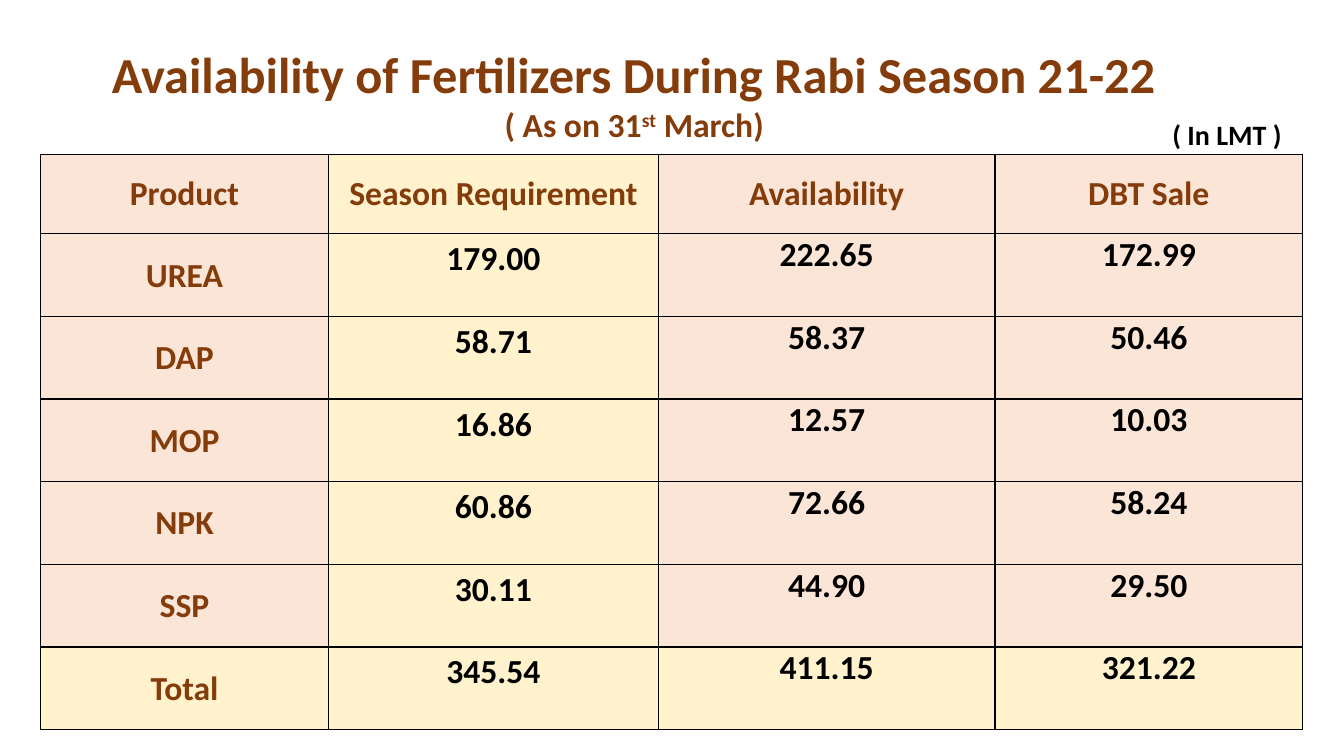
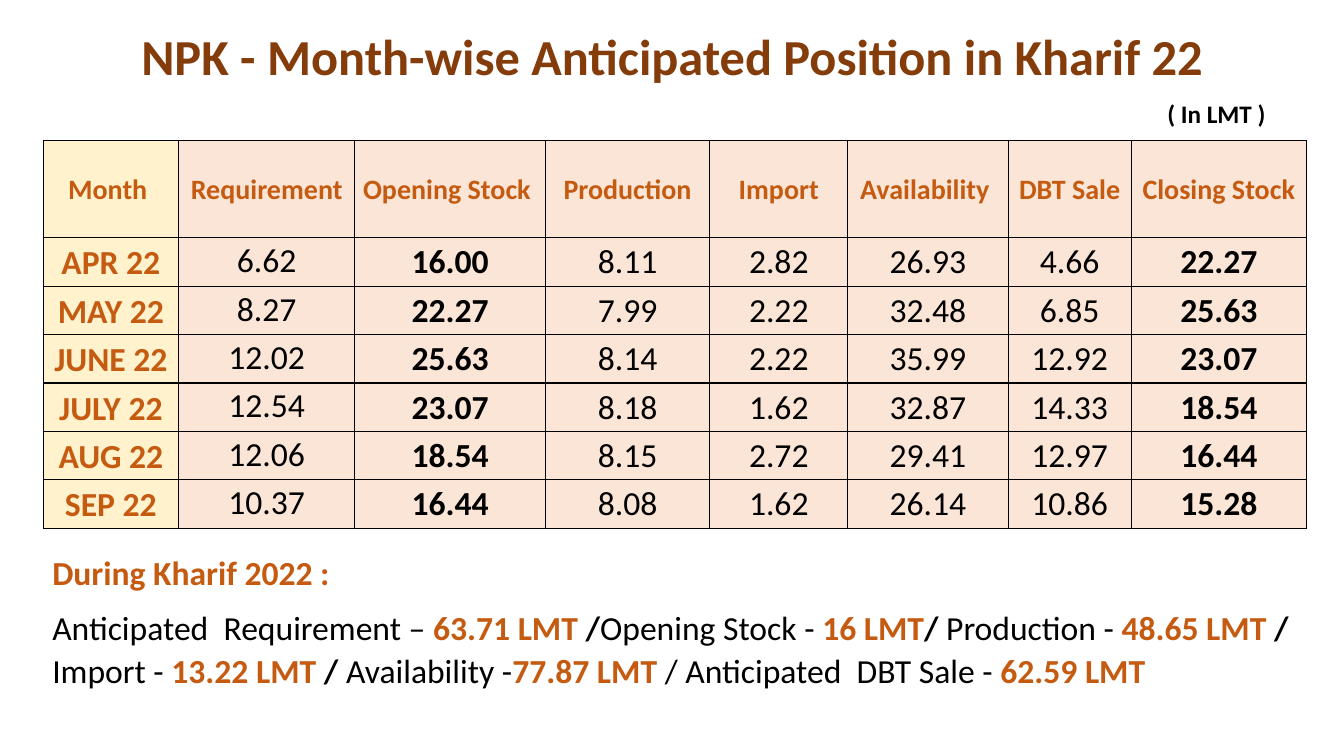
from pptx import Presentation
from pptx.dml.color import RGBColor
from pptx.enum.text import MSO_ANCHOR, MSO_AUTO_SIZE, PP_ALIGN
from pptx.oxml import parse_xml
from pptx.oxml.ns import nsdecls
from pptx.util import Inches, Pt

BROWN = RGBColor(0x84, 0x3C, 0x0B)
ORANGE = RGBColor(0xC5, 0x5A, 0x11)
BLACK = RGBColor(0x00, 0x00, 0x00)
PEACH = RGBColor(0xFB, 0xE5, 0xD6)
CREAM = RGBColor(0xFF, 0xF2, 0xCC)
FONT = "Calibri"
LEFT, CENTER = PP_ALIGN.LEFT, PP_ALIGN.CENTER
TOP, MIDDLE = MSO_ANCHOR.TOP, MSO_ANCHOR.MIDDLE
GROW = MSO_AUTO_SIZE.SHAPE_TO_FIT_TEXT
TITLE_SIZE, BODY_SIZE = 36, 24
LINE_SPACING, SPACE_AFTER = 1.07, Pt(8)


def add_text(page, place, paragraphs, align=LEFT, wrap=True):
    """Each paragraph is a list of (text, size, colour, bold) spans."""
    box = page.shapes.add_textbox(*[Inches(length) for length in place])
    frame = box.text_frame
    frame.word_wrap = wrap
    frame.auto_size = GROW
    for index, spans in enumerate(paragraphs):
        para = frame.paragraphs[0] if index == 0 else frame.add_paragraph()
        para.alignment = align
        for text, size, color, bold in spans:
            span = para.add_run()
            span.text = text
            span.font.name = FONT
            span.font.size = Pt(size)
            span.font.color.rgb = color
            span.font.bold = bold
    return frame


def add_grid(page, left, top, widths, heights, rows):
    """A peach table with thin black borders and centred bold black text."""
    frame = page.shapes.add_table(
        len(rows), len(widths), Inches(left), Inches(top),
        Inches(sum(widths)), Inches(sum(heights)))
    table = frame.table
    table.first_row = table.horz_banding = False
    for column, width in zip(table.columns, widths):
        column.width = Inches(width)
    for row, height, texts in zip(table.rows, heights, rows):
        row.height = Inches(height)
        for cell, text in zip(row.cells, texts):
            properties = cell._tc.get_or_add_tcPr()
            for side in ("lnL", "lnR", "lnT", "lnB"):
                properties.append(parse_xml(
                    f'<a:{side} {nsdecls("a")} w="12700"><a:solidFill>'
                    f'<a:srgbClr val="{BLACK}"/></a:solidFill></a:{side}>'))
            cell.fill.solid()
            cell.fill.fore_color.rgb = PEACH
            cell.vertical_anchor = MIDDLE
            cell.margin_left = cell.margin_right = Inches(0.01)
            cell.margin_top, cell.margin_bottom = Inches(0.01), 0
            cell.text_frame.text = text
            para = cell.text_frame.paragraphs[0]
            para.alignment = CENTER
            font = para.runs[0].font
            font.name = FONT
            font.size = Pt(BODY_SIZE)
            font.bold = True
            font.color.rgb = BLACK
    return table


deck = Presentation()
deck.slide_width, deck.slide_height = Inches(13.33), Inches(7.5)
blank = deck.slide_layouts[6]

# Slide 1: availability by product
page = deck.slides.add_slide(blank)
products = [
    ("Product", "Season Requirement", "Availability", "DBT Sale"),
    ("UREA", "179.00", "222.65", "172.99"),
    ("DAP", "58.71", "58.37", "50.46"),
    ("MOP", "16.86", "12.57", "10.03"),
    ("NPK", "60.86", "72.66", "58.24"),
    ("SSP", "30.11", "44.90", "29.50"),
    ("Total", "345.54", "411.15", "321.22"),
]
table = add_grid(page, 0.4, 1.53, [2.86, 3.27, 3.34, 3.05],
                 [0.79] + [0.82] * 6, products)
last_row = len(products) - 1
for row in range(len(products)):
    for column in range(len(products[0])):
        cell = table.cell(row, column)
        if column == 1 or row == last_row:
            cell.fill.fore_color.rgb = CREAM
        if row == 0 or column == 0:
            cell.text_frame.paragraphs[0].runs[0].font.color.rgb = BROWN
        else:
            cell.vertical_anchor = TOP
            if column == 1:
                cell.margin_left = cell.margin_right = Inches(0.1)
                cell.margin_top = cell.margin_bottom = Inches(0.05)

heading = add_text(page, (0.34, 0.38, 12.14, 1.11), [
    [("Availability of Fertilizers During Rabi Season 21-22", TITLE_SIZE, BROWN, True)],
    [(text, BODY_SIZE, BROWN, True) for text in ("( As on 31", "st", " March)")],
], CENTER)
title, date = heading.paragraphs
title._p.get_or_add_pPr().set("marR", str(Inches(0.24)))
date.runs[1].font._element.set("baseline", "30000")
add_text(page, (11.53, 1.12, 1.3, 0.44),
         [[("( In LMT )", 20, BLACK, True)]], wrap=False)

# Slide 2: monthly position
page = deck.slides.add_slide(blank)
months = [
    ("Month ", "Requirement", "Opening Stock ", "Production", "Import",
     "Availability ", "DBT Sale", "Closing Stock"),
    ("APR 22", "6.62", "16.00", "8.11", "2.82", "26.93", "4.66", "22.27"),
    ("MAY 22", "8.27", "22.27", "7.99", "2.22", "32.48", "6.85", "25.63"),
    ("JUNE 22", "12.02", "25.63", "8.14", "2.22", "35.99", "12.92", "23.07"),
    ("JULY 22", "12.54", "23.07", "8.18", "1.62", "32.87", "14.33", "18.54"),
    ("AUG 22", "12.06", "18.54", "8.15", "2.72", "29.41", "12.97", "16.44"),
    ("SEP 22", "10.37", "16.44", "8.08", "1.62", "26.14", "10.86", "15.28"),
]
stock_columns = (2, 7)
table = add_grid(page, 0.43, 1.39,
                 [1.34, 1.75, 1.89, 1.63, 1.37, 1.59, 1.22, 1.74],
                 [0.97] + [0.48] * 6, months)
for row in range(len(months)):
    for column in range(len(months[0])):
        cell = table.cell(row, column)
        para = cell.text_frame.paragraphs[0]
        font = para.runs[0].font
        if column == 0:
            cell.fill.fore_color.rgb = CREAM
        if row == 0 or column == 0:
            font.color.rgb = ORANGE
        else:
            font.bold = column in stock_columns
        if row == 0:
            font.size = Pt(20)
        if row == 0 or column <= 1:
            para.line_spacing = LINE_SPACING
            para.space_after = SPACE_AFTER
            cell.margin_left = cell.margin_right = Inches(0.06)
            cell.margin_top = 0
        if row > 0 and column == 1:
            cell.vertical_anchor = TOP

# Season summary: plain labels, orange figures, bold slashes
summary = [
    ("Anticipated  Requirement – ", BLACK, False), ("63.71 LMT ", ORANGE, True),
    ("/", BLACK, True), ("Opening Stock - ", BLACK, False), ("16 LMT", ORANGE, True),
    ("/ ", BLACK, True), ("Production - ", BLACK, False), ("48.65 LMT ", ORANGE, True),
    ("/ ", BLACK, True), ("Import - ", BLACK, False), ("13.22 LMT ", ORANGE, True),
    ("/ ", BLACK, True), ("Availability -", BLACK, False), ("77.87 LMT ", ORANGE, True),
    ("/ Anticipated  DBT Sale - ", BLACK, False), ("62.59 LMT", ORANGE, True),
]
notes = add_text(page, (0.42, 5.4, 12.91, 1.51), [
    [("During Kharif 2022 :", BODY_SIZE, ORANGE, True)],
    [(text, BODY_SIZE, color, bold) for text, color, bold in summary],
])
for para in notes.paragraphs:
    para.line_spacing = LINE_SPACING
    para.space_after = SPACE_AFTER

add_text(page, (1.18, 0.2, 10.98, 0.71),
         [[("NPK - Month-wise Anticipated Position in Kharif 22", TITLE_SIZE, BROWN, True)]],
         CENTER, wrap=False)
add_text(page, (11.48, 0.93, 1.19, 0.4),
         [[("( In LMT )", 18, BLACK, True)]], wrap=False)

deck.save("out.pptx")
